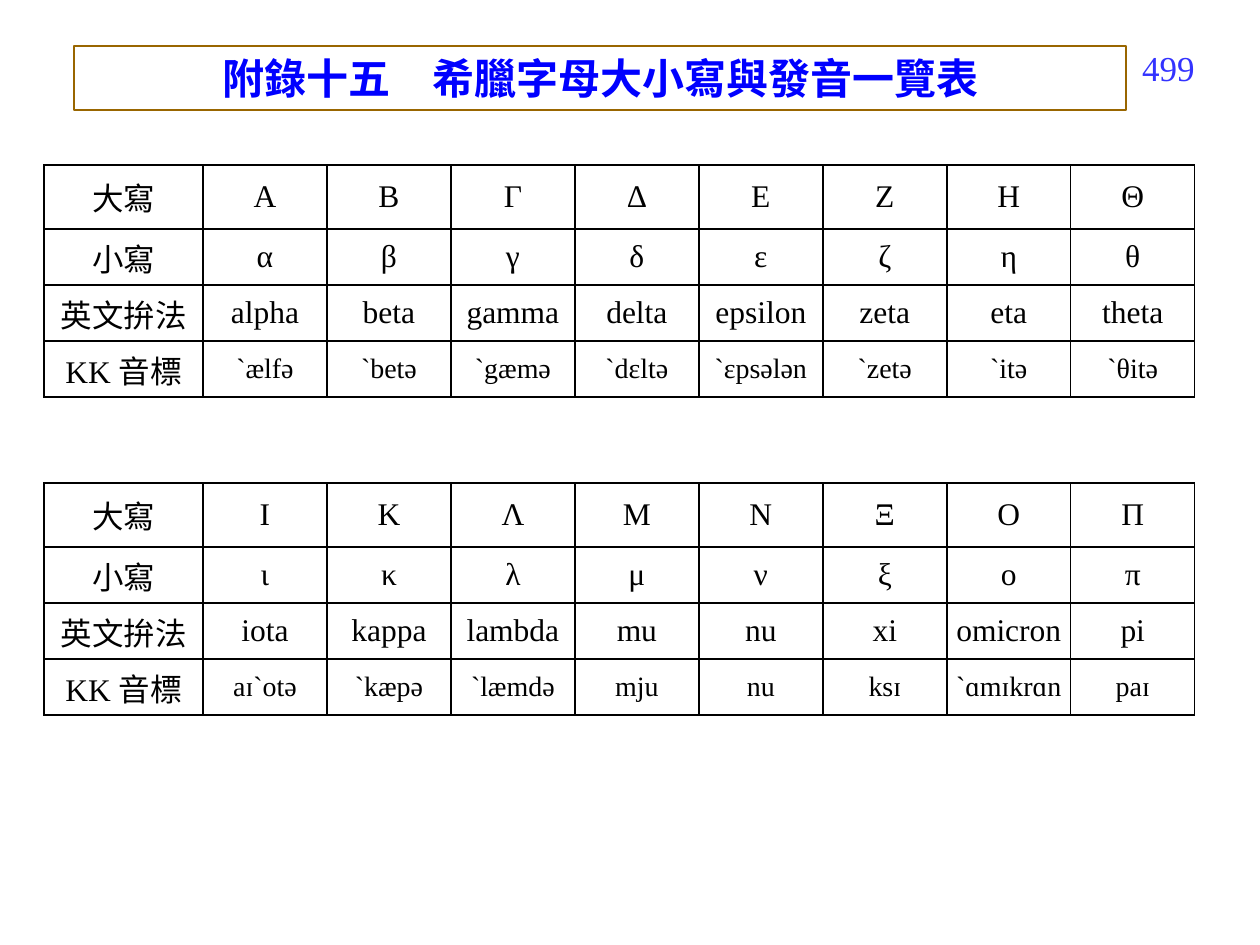
import pptx
import pptx.util
import pptx.oxml
import pptx.oxml.ns
import pptx.dml.color
import pptx.enum.text
import pptx.enum.shapes

RGB = pptx.dml.color.RGBColor
ALIGN = pptx.enum.text.PP_ALIGN
MIDDLE = pptx.enum.text.MSO_ANCHOR.MIDDLE
BLACK = RGB(0, 0, 0)
BLUE = RGB(0, 0, 255)
INDIGO = RGB(0x33, 0x33, 0xFF)
BROWN = RGB(0x99, 0x66, 0)
FONT = "Times New Roman"
SCALE = 914400 / 126

HEADS = ["大寫", "小寫", "英文拚法", "KK 音標"]
FIRST = [
    ["Α", "Β", "Γ", "Δ", "E", "Ζ", "Η", "Θ"],
    ["α", "β", "γ", "δ", "ε", "ζ", "η", "θ"],
    ["alpha", "beta", "gamma", "delta", "epsilon", "zeta", "eta", "theta"],
    ["ˋælfə", "ˋbetə", "ˋgæmə", "ˋdɛltə", "ˋɛpsələn", "ˋzetə", "ˋitə", "ˋθitə"],
]
SECOND = [
    ["Ι", "Κ", "Λ", "Μ", "Ν", "Ξ", "Ο", "Π"],
    ["ι", "κ", "λ", "μ", "ν", "ξ", "ο", "π"],
    ["iota", "kappa", "lambda", "mu", "nu", "xi", "omicron", "pi"],
    ["aɪˋotə", "ˋkæpə", "ˋlæmdə", "mju", "nu", "ksɪ", "ˋɑmɪkrɑn", "paɪ"],
]


def px(n):
    """Turn pixels into EMU."""
    return pptx.util.Emu(round(n * SCALE))


def write(frame, text, size=18, color=BLACK, bold=False, align=ALIGN.CENTER):
    """Put one formatted paragraph into a text frame."""
    para = frame.paragraphs[0]
    para.alignment = align
    run = para.add_run()
    run.text = text
    run.font.name = FONT
    run.font.size = pptx.util.Pt(size)
    run.font.bold = bold
    run.font.color.rgb = color


def number(slide, box):
    """Add the page number."""
    frame = slide.shapes.add_textbox(*map(px, box)).text_frame
    frame.word_wrap = True
    frame.vertical_anchor = MIDDLE
    write(frame, "499", size=20, color=INDIGO, align=ALIGN.RIGHT)


def title(slide, box):
    """Add the framed title."""
    kind = pptx.enum.shapes.MSO_SHAPE.RECTANGLE
    shape = slide.shapes.add_shape(kind, *map(px, box))
    shape.shadow.inherit = False
    shape.fill.background()
    shape.line.color.rgb = BROWN
    shape.line.width = pptx.util.Pt(0.75)
    frame = shape.text_frame
    frame.word_wrap = True
    frame.vertical_anchor = MIDDLE
    write(frame, "附錄十五\u3000希臘字母大小寫與發音一覽表", size=24, color=BLUE, bold=True)


def border(cell):
    """Draw thin black lines on all sides of a cell."""
    props = cell._tc.get_or_add_tcPr()
    for i, side in enumerate("LRTB"):
        line = pptx.oxml.parse_xml(
            f'<a:ln{side} {pptx.oxml.ns.nsdecls("a")} w="12700"><a:solidFill>'
            f'<a:srgbClr val="{BLACK}"/></a:solidFill></a:ln{side}>')
        props.insert(i, line)


def letters(slide, box, data):
    """Add a table of letters with a wider head column and a taller top row."""
    left, top, wide, high = box
    table = slide.shapes.add_table(4, 9, px(left), px(top), px(wide), px(high)).table
    table.first_row = table.horz_banding = False
    head, step = 159, 56
    for c, col in enumerate(table.columns):
        col.width = px((wide - head) / 8 if c else head)
    for r, row in enumerate(table.rows):
        row.height = px(step if r else high - 3 * step)
        for c, text in enumerate([HEADS[r]] + data[r]):
            cell = table.cell(r, c)
            cell.vertical_anchor = MIDDLE
            cell.fill.background()
            if c:
                cell.margin_left = cell.margin_right = px(2)
            write(cell.text_frame, text, size=16 if c and r == 3 else 18)
            border(cell)


def build():
    """Build the slide and save it."""
    deck = pptx.Presentation()
    deck.slide_width, deck.slide_height = px(1260), px(945)
    slide = deck.slides.add_slide(deck.slide_layouts[6])
    number(slide, (1096, 35, 111, 65))
    title(slide, (74, 46, 1052, 64))
    for top, data in ((165, FIRST), (483, SECOND)):
        letters(slide, (44, top, 1151, 232), data)
    deck.save("out.pptx")


build()
